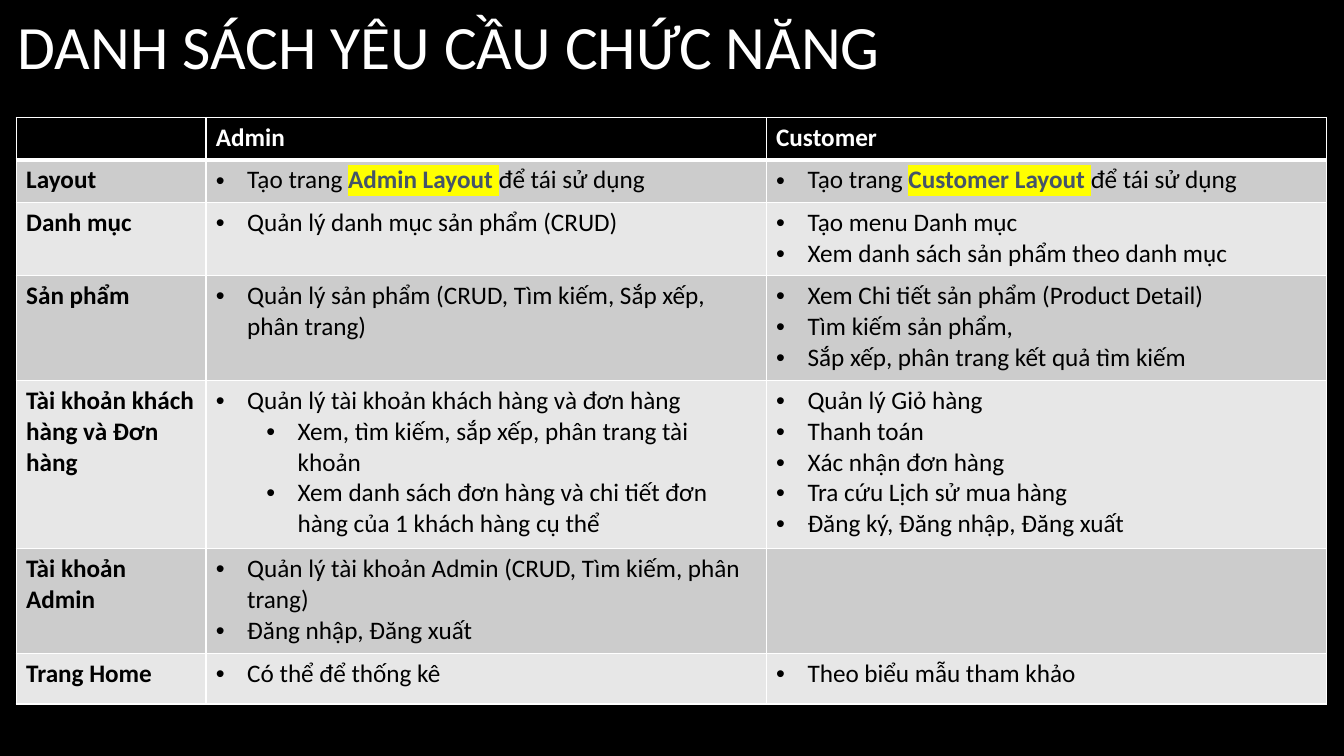
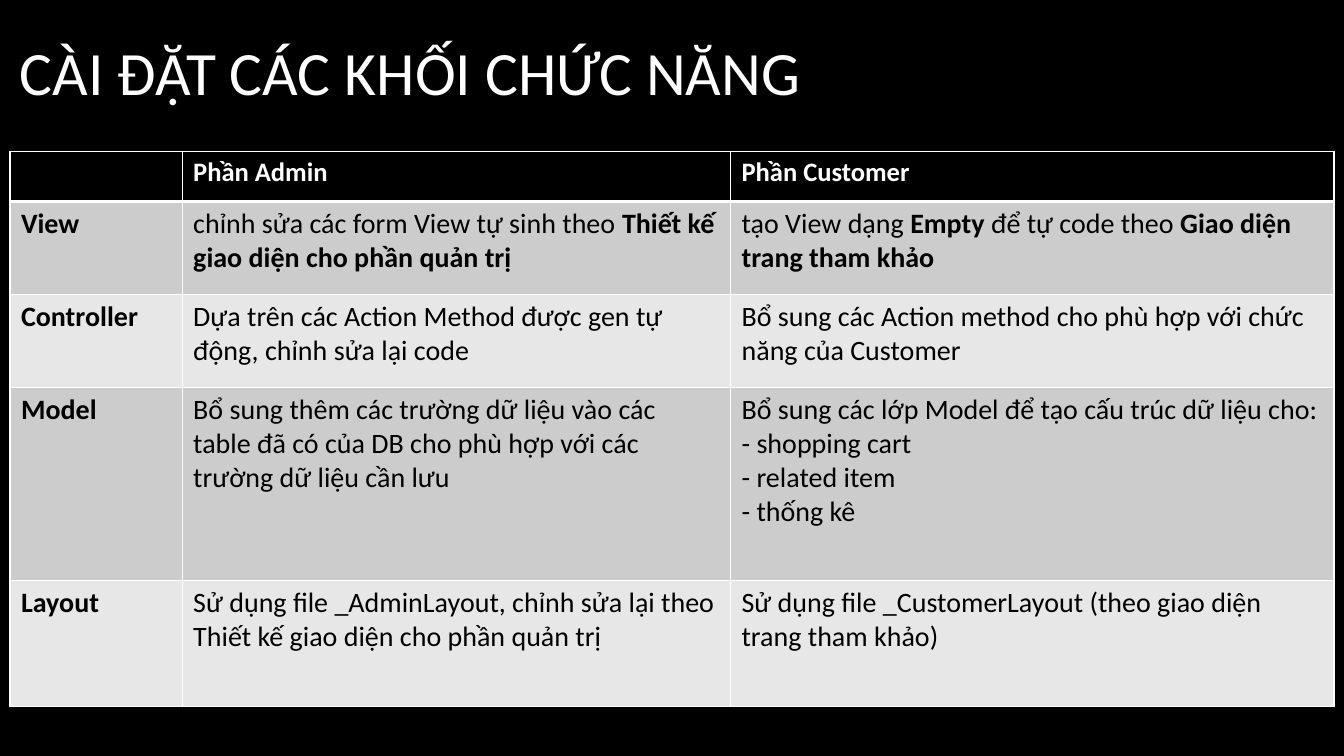
"""Build two slides that list the features of a web shop and how to code them."""
import pptx
import pptx.dml.color
import pptx.enum.text
import pptx.oxml
import pptx.oxml.ns
import pptx.util
from pptx.util import Cm

FONT = "Calibri"
BLACK, WHITE, SLATE, YELLOW = "000000", "FFFFFF", "44546A", "FFFF00"
BANDS = ["CCCCCC", "E7E7E7"]
HANG = 0.79
STEP = 1.27

# Text between bars is stressed; an inner list is one level deeper.
FEATURES = {
    "title": "DANH SÁCH YÊU CẦU CHỨC NĂNG",
    "box": (0.2, 0.18, 33.45, 2.16),
    "spot": (0.41, 2.96),
    "cols": [4.78, 14.12, 14.12],
    "rows": [1.07, 1.07, 1.85, 2.64, 4.24, 2.64, 1.27],
    "sizes": (18, 18),
    "inset": 0.25,
    "bullets": True,
    "marked": True,
    "cells": [
        ("", ["Admin"], ["Customer"]),
        ("Layout",
         ["Tạo trang |Admin Layout |để tái sử dụng"],
         ["Tạo trang |Customer Layout |để tái sử dụng"]),
        ("Danh mục",
         ["Quản lý danh mục sản phẩm (CRUD)"],
         ["Tạo menu Danh mục", "Xem danh sách sản phẩm theo danh mục"]),
        ("Sản phẩm",
         ["Quản lý sản phẩm (CRUD, Tìm kiếm, Sắp xếp, phân trang)"],
         ["Xem Chi tiết sản phẩm (Product Detail)",
          "Tìm kiếm sản phẩm,",
          "Sắp xếp, phân trang kết quả tìm kiếm"]),
        ("Tài khoản khách hàng và Đơn hàng",
         ["Quản lý tài khoản khách hàng và đơn hàng",
          ["Xem, tìm kiếm, sắp xếp, phân trang tài khoản",
           "Xem danh sách đơn hàng và chi tiết đơn hàng của 1 khách hàng cụ thể"]],
         ["Quản lý Giỏ hàng", "Thanh toán", "Xác nhận đơn hàng",
          "Tra cứu Lịch sử mua hàng", "Đăng ký, Đăng nhập, Đăng xuất"]),
        ("Tài khoản Admin",
         ["Quản lý tài khoản Admin (CRUD, Tìm kiếm, phân trang)",
          "Đăng nhập, Đăng xuất"],
         []),
        ("Trang Home", ["Có thể để thống kê"], ["Theo biểu mẫu tham khảo"]),
    ],
}

BLOCKS = {
    "title": "CÀI ĐẶT CÁC KHỐI CHỨC NĂNG",
    "box": (0.25, 0.2, 33.37, 3.43),
    "spot": (0.25, 3.81),
    "cols": [4.34, 13.82, 15.21],
    "rows": [1.27, 2.34, 2.34, 4.87, 3.17],
    "sizes": (19, 20),
    "inset": 0.28,
    "bullets": False,
    "marked": False,
    "cells": [
        ("", ["Phần Admin"], ["Phần Customer"]),
        ("View",
         ["chỉnh sửa các form View tự sinh theo |Thiết kế giao diện cho phần quản trị"],
         ["tạo View dạng |Empty |để tự code theo |Giao diện trang tham khảo"]),
        ("Controller",
         ["Dựa trên các Action Method được gen tự động, chỉnh sửa lại code"],
         ["Bổ sung các Action method cho phù hợp với chức năng của Customer"]),
        ("Model",
         ["Bổ sung thêm các trường dữ liệu vào các table đã có của DB "
          "cho phù hợp với các trường dữ liệu cần lưu"],
         ["Bổ sung các lớp Model để tạo cấu trúc dữ liệu cho:",
          "- shopping cart", "- related item", "- thống kê"]),
        ("Layout",
         ["Sử dụng file _AdminLayout, chỉnh sửa lại theo "
          "Thiết kế giao diện cho phần quản trị"],
         ["Sử dụng file _CustomerLayout (theo giao diện trang tham khảo)"]),
    ],
}


def color(code):
    return pptx.dml.color.RGBColor.from_string(code)


def node(xml):
    head, tail = xml.split(" ", 1)
    return pptx.oxml.parse_xml(f"{head} {pptx.oxml.ns.nsdecls('a')} {tail}")


def style(run, size, ink, bold=False, mark=None):
    font = run.font
    font.size, font.bold = pptx.util.Pt(size), bold
    font.color.rgb = color(ink)
    if mark:
        run._r.get_or_add_rPr().append(
            node(f'<a:highlight ><a:srgbClr val="{mark}"/></a:highlight>'))
    font.name = FONT


def bullet(para, level):
    para.level = level
    props = para._p.get_or_add_pPr()
    props.set("marL", str(Cm(HANG + level * STEP)))
    props.set("indent", str(Cm(-HANG)))
    props.append(node('<a:buFont typeface="Arial"/>'))
    props.append(node('<a:buChar char="•"/>'))


def flat(lines, level=0):
    for line in lines:
        if isinstance(line, list):
            yield from flat(line, level + 1)
        else:
            yield level, line


def border(cell, row):
    widths = {"L": 1, "R": 1, "T": 3 if row == 1 else 1, "B": 3 if row == 0 else 1}
    for side, width in widths.items():
        cell._tc.get_or_add_tcPr().append(node(
            f'<a:ln{side} w="{pptx.util.Pt(width)}"><a:solidFill>'
            f'<a:srgbClr val="{WHITE}"/></a:solidFill></a:ln{side}>'))


def write(cell, lines, data, row, col):
    frame = cell.text_frame
    body = row > 0 and col > 0
    size = data["sizes"][min(row, 1)]
    for index, (level, line) in enumerate(flat(lines)):
        para = frame.add_paragraph() if index else frame.paragraphs[0]
        if body and data["bullets"]:
            bullet(para, level)
        for turn, text in enumerate(line.split("|")):
            run = para.add_run()
            run.text = text
            stress = turn % 2 == 1
            mark = YELLOW if stress and data["marked"] else None
            ink = SLATE if mark else BLACK if row else WHITE
            style(run, size, ink, stress or not body, mark)


def grid(slide, data):
    cols, rows = data["cols"], data["rows"]
    place = [Cm(n) for n in (*data["spot"], sum(cols), sum(rows))]
    table = slide.shapes.add_table(len(rows), len(cols), *place).table
    table.horz_banding = False
    for part, width in zip(table.columns, cols):
        part.width = Cm(width)
    for part, height in zip(table.rows, rows):
        part.height = Cm(height)
    for row, (label, *rest) in enumerate(data["cells"]):
        for col, lines in enumerate([[label] if label else [], *rest]):
            cell = table.cell(row, col)
            cell.margin_left = cell.margin_right = Cm(data["inset"])
            border(cell, row)
            cell.fill.solid()
            cell.fill.fore_color.rgb = color(BANDS[(row - 1) % 2] if row else BLACK)
            write(cell, lines, data, row, col)


def title(slide, data):
    frame = slide.shapes.add_textbox(*map(Cm, data["box"])).text_frame
    frame.word_wrap = True
    frame.vertical_anchor = pptx.enum.text.MSO_ANCHOR.MIDDLE
    frame.text = data["title"]
    para = frame.paragraphs[0]
    para.line_spacing = 0.9
    style(para.runs[0], 44, WHITE)


def main():
    deck = pptx.Presentation()
    deck.slide_width, deck.slide_height = Cm(33.87), Cm(19.05)
    back = deck.slide_master.background.fill
    back.solid()
    back.fore_color.rgb = color(BLACK)
    for data in (FEATURES, BLOCKS):
        slide = deck.slides.add_slide(deck.slide_layouts[6])
        title(slide, data)
        grid(slide, data)
    deck.save("out.pptx")


if __name__ == "__main__":
    main()
